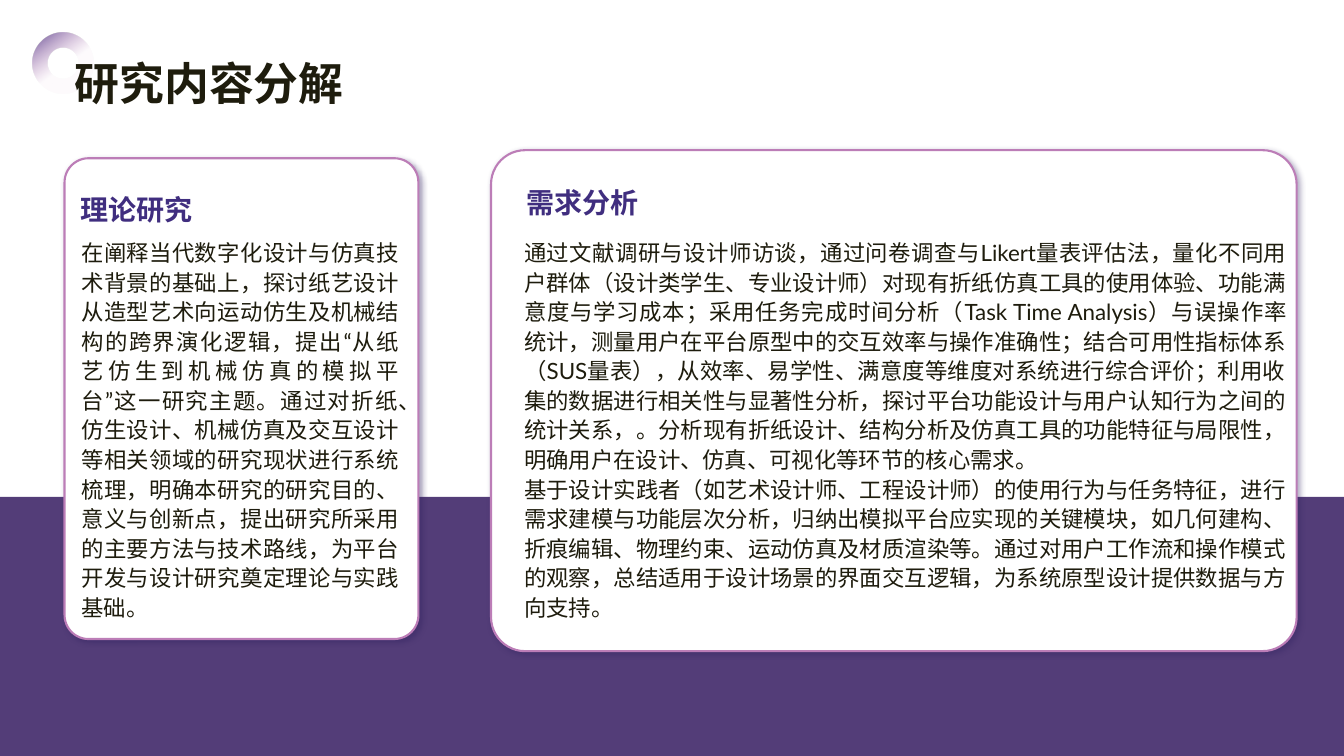
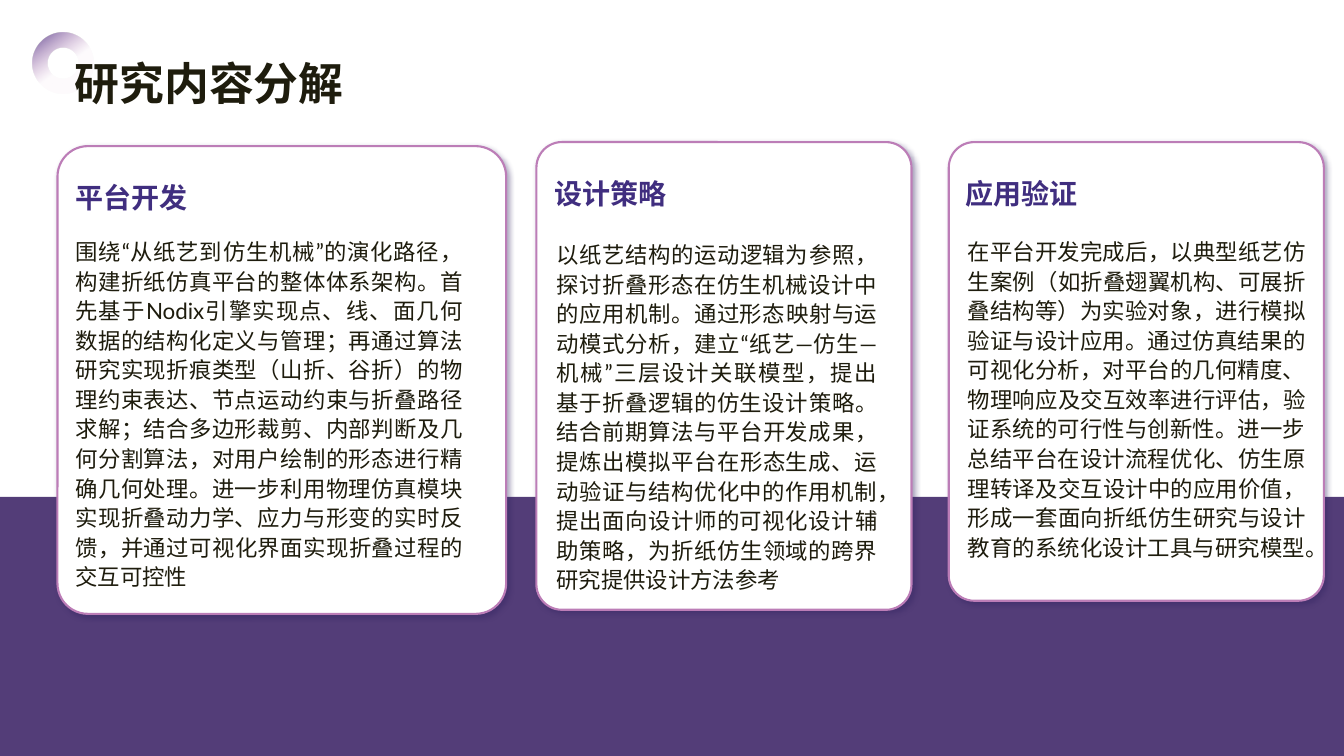
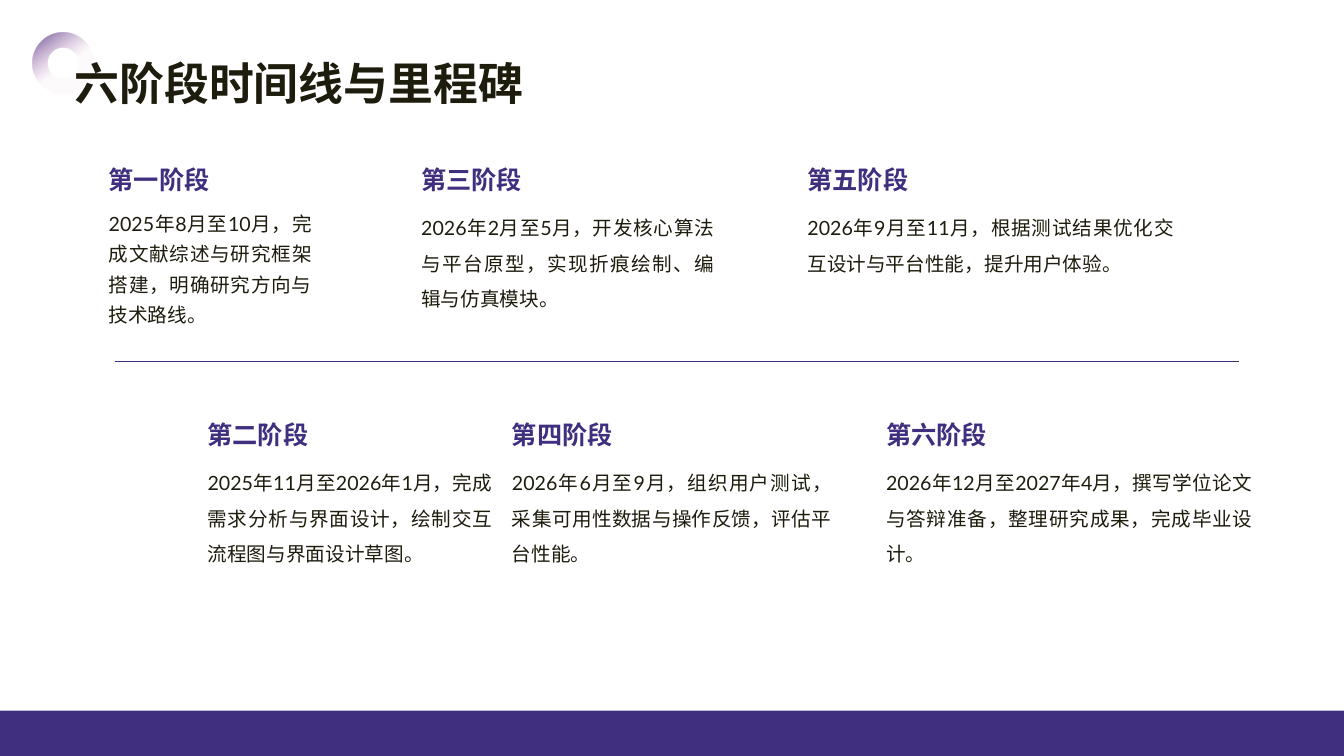
from lxml import etree
from pptx import Presentation
from pptx.dml.color import RGBColor
from pptx.enum.shapes import MSO_CONNECTOR as CONNECTOR, MSO_SHAPE as SHAPE
from pptx.enum.text import MSO_ANCHOR as ANCHOR, MSO_AUTO_SIZE as AUTO_SIZE, PP_ALIGN as ALIGN
from pptx.oxml import parse_xml
from pptx.oxml.ns import nsdecls, qn
from pptx.util import Inches, Pt

FONT = "Lato"
INK = "1E1C0D"
INDIGO = "402E7F"
PLUM = "533D78"
PINK = "BC7DB7"
WHITE = "FFFFFF"
SHADOW = "30225F"
SLIDE_WIDTH, SLIDE_HEIGHT = 13.33, 7.5

DECOMPOSITION = "研究内容分解"

STUDY_CARDS = [
    ((0.64, 1.57, 3.51, 4.77), (0.7, 1.86), (0.71, 2.3, 3.35, 3.14), "理论研究", [
        "在阐释当代数字化设计与仿真技术背景的基础上，探讨纸艺设计从造型艺术向运动仿生及机械结构的跨界演化逻辑，提出“从纸艺仿生到机械仿真的模拟平台”这一研究主题。通过对折纸、仿生设计、机械仿真及交互设计等相关领域的研究现状进行系统梳理，明确本研究的研究目的、意义与创新点，提出研究所采用的主要方法与技术路线，为平台开发与设计研究奠定理论与实践基础。",
    ]),
    ((4.87, 1.49, 7.99, 4.97), (5.12, 1.79), (5.1, 2.3, 7.76, 3.58), "需求分析", [
        "通过文献调研与设计师访谈，通过问卷调查与Likert量表评估法，量化不同用户群体（设计类学生、专业设计师）对现有折纸仿真工具的使用体验、功能满意度与学习成本；采用任务完成时间分析（Task Time Analysis）与误操作率统计，测量用户在平台原型中的交互效率与操作准确性；结合可用性指标体系（SUS量表），从效率、易学性、满意度等维度对系统进行综合评价；利用收集的数据进行相关性与显著性分析，探讨平台功能设计与用户认知行为之间的统计关系，。分析现有折纸设计、结构分析及仿真工具的功能特征与局限性，明确用户在设计、仿真、可视化等环节的核心需求。",
        "基于设计实践者（如艺术设计师、工程设计师）的使用行为与任务特征，进行需求建模与功能层次分析，归纳出模拟平台应实现的关键模块，如几何建构、折痕编辑、物理约束、运动仿真及材质渲染等。通过对用户工作流和操作模式的观察，总结适用于设计场景的界面交互逻辑，为系统原型设计提供数据与方向支持。",
    ]),
]

DELIVERY_CARDS = [
    ((0.57, 1.45, 4.45, 4.64), (0.65, 1.74), (0.65, 2.29, 4.04, 3.2), "平台开发", [
        "围绕“从纸艺到仿生机械”的演化路径，构建折纸仿真平台的整体体系架构。首先基于Nodix引擎实现点、线、面几何数据的结构化定义与管理；再通过算法研究实现折痕类型（山折、谷折）的物理约束表达、节点运动约束与折叠路径求解；结合多边形裁剪、内部判断及几何分割算法，对用户绘制的形态进行精确几何处理。进一步利用物理仿真模块实现折叠动力学、应力与形变的实时反馈，并通过可视化界面实现折叠过程的交互可控性",
    ]),
    ((5.32, 1.41, 3.72, 4.64), (5.4, 1.7), (5.42, 2.32, 3.38, 3.2), "设计策略", [
        "以纸艺结构的运动逻辑为参照，探讨折叠形态在仿生机械设计中的应用机制。通过形态映射与运动模式分析，建立“纸艺—仿生—机械”三层设计关联模型，提出基于折叠逻辑的仿生设计策略。结合前期算法与平台开发成果，提炼出模拟平台在形态生成、运动验证与结构优化中的作用机制，提出面向设计师的可视化设计辅助策略，为折纸仿生领域的跨界研究提供设计方法参考",
    ]),
    ((9.41, 1.41, 3.72, 4.55), (9.48, 1.7), (9.5, 2.29, 3.55, 3.13), "应用验证", [
        "在平台开发完成后，以典型纸艺仿生案例（如折叠翅翼机构、可展折叠结构等）为实验对象，进行模拟验证与设计应用。通过仿真结果的可视化分析，对平台的几何精度、物理响应及交互效率进行评估，验证系统的可行性与创新性。进一步总结平台在设计流程优化、仿生原理转译及交互设计中的应用价值，形成一套面向折纸仿生研究与设计教育的系统化设计工具与研究模型。",
    ]),
]

UPPER_ROW, LOWER_ROW = 1.58, 4.11
STAGES = [
    (0.98, UPPER_ROW, 2.21, 1.3, "第一阶段", "2025年8月至10月，完成文献综述与研究框架搭建，明确研究方向与技术路线。"),
    (1.96, LOWER_ROW, 3.02, 1.5, "第二阶段", "2025年11月至2026年1月，完成需求分析与界面设计，绘制交互流程图与界面设计草图。"),
    (4.08, UPPER_ROW, 3.1, 1.5, "第三阶段", "2026年2月至5月，开发核心算法与平台原型，实现折痕绘制、编辑与仿真模块。"),
    (4.98, LOWER_ROW, 3.37, 1.5, "第四阶段", "2026年6月至9月，组织用户测试，采集可用性数据与操作反馈，评估平台性能。"),
    (7.91, UPPER_ROW, 3.83, 1.5, "第五阶段", "2026年9月至11月，根据测试结果优化交互设计与平台性能，提升用户体验。"),
    (8.69, LOWER_ROW, 3.83, 1.5, "第六阶段", "2026年12月至2027年4月，撰写学位论文与答辩准备，整理研究成果，完成毕业设计。"),
]


def rgb(hex_color):
    return RGBColor.from_string(hex_color)


def inches(box):
    return [Inches(length) for length in box]


def write(frame, paragraphs, size, color, bold=False, align=ALIGN.JUSTIFY, spacing=1.0):
    frame.word_wrap = True
    frame.auto_size = AUTO_SIZE.NONE
    frame.vertical_anchor = ANCHOR.TOP
    frame.text = "\n".join(paragraphs)
    for paragraph in frame.paragraphs:
        paragraph.alignment = align
        paragraph.line_spacing = spacing
        font = paragraph.font
        font.name, font.size, font.bold = FONT, Pt(size), bold
        font.color.rgb = rgb(color)
        defaults = paragraph._p.pPr.find(qn("a:defRPr"))
        etree.SubElement(defaults, qn("a:ea")).set("typeface", FONT)


def add_text(slide, box, paragraphs, size, color, **style):
    write(slide.shapes.add_textbox(*inches(box)).text_frame, paragraphs, size, color, **style)


def add_block(slide, preset, box, fill):
    block = slide.shapes.add_shape(preset, *inches(box))
    block.shadow.inherit = False
    block.fill.solid()
    block.fill.fore_color.rgb = rgb(fill)
    block.line.fill.background()
    return block


def add_ring(slide):
    ring = add_block(slide, SHAPE.DONUT, (0.32, 0.32, 0.61, 0.61), INDIGO)
    ring.rotation = 99
    fade = "".join(
        f'<a:gs pos="{stop}000"><a:srgbClr val="{color}"><a:alpha val="{alpha}000"/></a:srgbClr></a:gs>'
        for stop, color, alpha in [(0, INDIGO, 100), (54, PINK, 3), (100, PINK, 3)]
    )
    gradient = parse_xml(
        f'<a:gradFill {nsdecls("a")} rotWithShape="1"><a:gsLst>{fade}</a:gsLst>'
        f'<a:lin ang="{315 * 60000}" scaled="0"/></a:gradFill>'
    )
    properties = ring._element.spPr
    properties.replace(properties.find(qn("a:solidFill")), gradient)
    slide.shapes._spTree.insert(2, ring._element)


def add_titled_slide(deck, title):
    slide = deck.slides.add_slide(deck.slide_layouts[5])
    heading = slide.shapes.title
    heading.left, heading.top, heading.width, heading.height = inches((0.64, 0.5, 11.1, 0.64))
    write(heading.text_frame, [title], 32, INK, bold=True, align=ALIGN.LEFT)
    add_ring(slide)
    return slide


def add_panel(slide, box):
    panel = add_block(slide, SHAPE.ROUNDED_RECTANGLE, box, WHITE)
    panel.adjustments[0] = 0.068
    panel.line.color.rgb = rgb(PINK)
    panel.line.width = Pt(1.5)
    effects = panel._element.spPr.find(qn("a:effectLst"))
    effects.append(parse_xml(
        f'<a:outerShdw {nsdecls("a")} blurRad="{Pt(4)}" dist="{Pt(2.1)}" dir="{45 * 60000}" '
        f'algn="tl" rotWithShape="0"><a:srgbClr val="{SHADOW}"><a:alpha val="40000"/></a:srgbClr></a:outerShdw>'
    ))


def add_card(slide, panel_box, heading_at, body_box, heading, body):
    add_panel(slide, panel_box)
    add_text(slide, (*heading_at, body_box[2], 0.44), [heading], 20, INDIGO, bold=True)
    add_text(slide, body_box, body, 16, INK, spacing=1.1)


def add_card_slide(deck, title, cards):
    slide = add_titled_slide(deck, title)
    add_block(slide, SHAPE.RECTANGLE, (0, 4.93, SLIDE_WIDTH, 2.57), PLUM)
    for card in cards:
        add_card(slide, *card)


def add_stage(slide, left, top, width, spacing, heading, body):
    add_text(slide, (left, top, width, 0.58), [heading], 18, INDIGO, bold=True)
    add_text(slide, (left, top + 0.4, width, 2.19), [body], 14, INK, spacing=spacing)


def add_axis(slide, start, end, y):
    axis = slide.shapes.add_connector(CONNECTOR.STRAIGHT, *inches((start, y, end, y)))
    axis.line.color.rgb = rgb(INDIGO)
    axis.line.width = Pt(0.5)
    etree.SubElement(axis._element.spPr, qn("a:effectLst"))


def add_timeline_slide(deck, title, stages):
    slide = add_titled_slide(deck, title)
    add_block(slide, SHAPE.RECTANGLE, (0, 7.05, SLIDE_WIDTH, 0.45), INDIGO)
    add_axis(slide, 1.14, 12.29, 3.59)
    for stage in stages:
        add_stage(slide, *stage)


def main():
    deck = Presentation()
    deck.slide_width, deck.slide_height = inches((SLIDE_WIDTH, SLIDE_HEIGHT))
    add_card_slide(deck, DECOMPOSITION, STUDY_CARDS)
    add_card_slide(deck, DECOMPOSITION, DELIVERY_CARDS)
    add_timeline_slide(deck, "六阶段时间线与里程碑", STAGES)
    deck.save("out.pptx")


if __name__ == "__main__":
    main()
